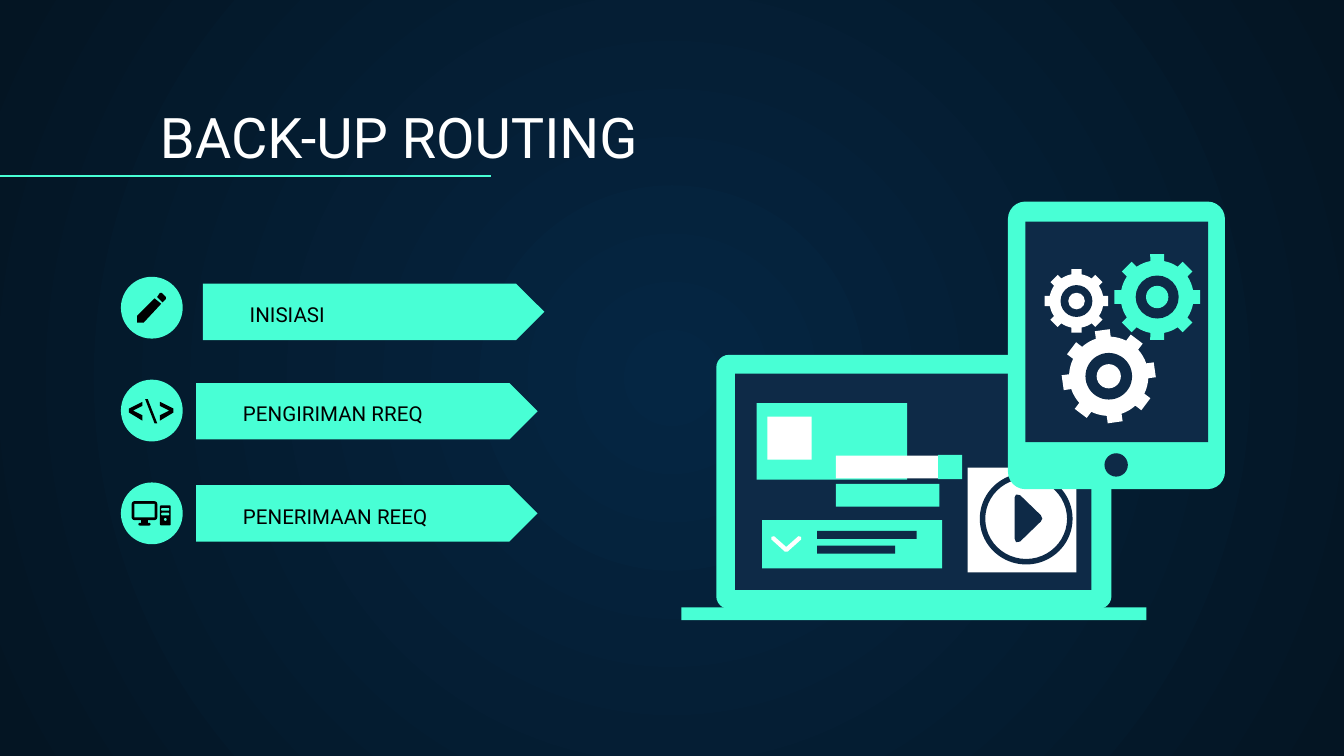
import math

import pptx
import pptx.util
import pptx.dml.color
import pptx.enum.dml
import pptx.enum.shapes
import pptx.enum.text
import pptx.oxml
import pptx.oxml.ns

KIND = pptx.enum.shapes.MSO_SHAPE
CELL = pptx.util.Inches(0.1)
TEAL, NAVY, WHITE, BLACK = "48FFD5", "0E2A47", "FFFFFF", "000000"
FONT = "Roboto"


def grid(*cells):
    return [round(cell * CELL) for cell in cells]


def tint(code):
    return pptx.dml.color.RGBColor.from_string(code)


def paint(shape, code):
    shape.shadow.inherit = False
    shape.fill.solid()
    shape.fill.fore_color.rgb = tint(code)
    shape.line.fill.background()


def block(slide, box, code, kind=KIND.RECTANGLE, bend=None):
    shape = slide.shapes.add_shape(kind, *grid(*box))
    if bend is not None:
        shape.adjustments[0] = bend
    paint(shape, code)


def disc(slide, x, y, radius, code):
    block(slide, (x - radius, y - radius, 2 * radius, 2 * radius), code, KIND.OVAL)


def poly(slide, code, *rings):
    pen = None
    for ring in rings:
        dots = [grid(*dot) for dot in ring]
        if pen is None:
            pen = slide.shapes.build_freeform(*dots[0], scale=1.0)
        else:
            pen.move_to(*dots[0])
        pen.add_line_segments(dots[1:], close=True)
    paint(pen.convert_to_shape(), code)


def write(shape, text, size, code):
    frame = shape.text_frame
    frame.text = text
    frame.word_wrap = True
    frame.auto_size = pptx.enum.text.MSO_AUTO_SIZE.NONE
    frame.vertical_anchor = pptx.enum.text.MSO_ANCHOR.BOTTOM
    inset = pptx.util.Inches(0.1)
    frame.margin_left = frame.margin_right = inset
    frame.margin_top = frame.margin_bottom = inset
    line = frame.paragraphs[0]
    line.alignment = pptx.enum.text.PP_ALIGN.LEFT
    font = line.runs[0].font
    font.name = FONT
    font.size = pptx.util.Pt(size)
    font.color.rgb = tint(code)


def shade(slide):
    fill = slide.background.fill
    fill.gradient()
    for stop, code, place in zip(fill.gradient_stops, ("052643", "041523"), (0, 1)):
        stop.color.rgb = tint(code)
        stop.position = place
    grad = slide.element.find(".//" + pptx.oxml.ns.qn("a:gradFill"))
    grad.remove(grad.find(pptx.oxml.ns.qn("a:lin")))
    grad.append(pptx.oxml.parse_xml(
        f'<a:path {pptx.oxml.ns.nsdecls("a")} path="circle">'
        '<a:fillToRect l="50000" t="50000" r="50000" b="50000"/></a:path>'))


def head(slide):
    title = slide.shapes.title
    title.left, title.top, title.width, title.height = grid(10.9, 7, 85.7, 6.6)
    write(title, "BACK-UP ROUTING", 30, WHITE)
    rule = slide.shapes.add_connector(
        pptx.enum.shapes.MSO_CONNECTOR.STRAIGHT, *grid(0, 13.1, 36.5, 13.1))
    rule.line.color.rgb = tint(TEAL)
    rule.line.width = pptx.util.Pt(0.75)
    rule.element.spPr.append(pptx.oxml.parse_xml(
        f'<a:effectLst {pptx.oxml.ns.nsdecls("a")}/>'))


def steps(slide):
    rows = (("INISIASI", 15.1, 21.1), ("PENGIRIMAN RREQ", 14.6, 28.5),
            ("PENERIMAAN REEQ", 14.6, 36.1))
    for row, (text, x, y) in enumerate(rows):
        block(slide, (x, y, 25.4, 4.2), TEAL, KIND.PENTAGON, 0.5)
        label = slide.shapes.add_textbox(*grid(x + 2.5, y + 2.1, 22.7, 2.1))
        write(label, text, 11, BLACK)
        disc(slide, 11.3, 22.9 + 7.65 * row, 2.3, TEAL)


def pencil(slide):
    poly(slide, BLACK,
         [(11.7, 22.1), (11.9, 21.8), (12.05, 21.8), (12.35, 22.1), (12.35, 22.25), (12.1, 22.5)],
         [(11.5, 22.2), (10.2, 23.5), (10.2, 24), (10.7, 24), (12, 22.6)])


def code(slide):
    left = [(10.6, 31.3), (9.6, 30.7), (9.6, 30.4), (10.6, 29.9),
            (10.6, 30.2), (9.9, 30.55), (10.6, 30.9)]
    poly(slide, BLACK, left)
    poly(slide, BLACK, [(11.5, 31.5), (10.8, 29.7), (11, 29.7), (11.7, 31.5)])
    poly(slide, BLACK, [(22.5 - x, y) for x, y in left])


def desktop(slide):
    soft = KIND.ROUNDED_RECTANGLE
    block(slide, (9.8, 37.3, 1.9, 1.4), BLACK, soft, 0.14)
    block(slide, (10, 37.5, 1.5, 1), TEAL)
    block(slide, (10.5, 38.7, 0.5, 0.3), BLACK)
    block(slide, (10.3, 38.9, 0.9, 0.2), BLACK, soft, 0.5)
    block(slide, (11.9, 37.6, 0.8, 1.5), BLACK, soft, 0.12)
    for y in (37.8, 38.15):
        block(slide, (12, y, 0.6, 0.2), TEAL, soft, 0.4)
    disc(slide, 12.3, 38.65, 0.1, TEAL)


def laptop(slide):
    block(slide, (53.3, 26.4, 29.4, 18.9), TEAL, KIND.ROUNDED_RECTANGLE, 0.05)
    for box, shade_code in (
            ((54.7, 27.8, 26.5, 16.1), NAVY), ((50.7, 45.2, 34.6, 0.95), TEAL),
            ((56.3, 30, 11.2, 5.7), TEAL), ((57.1, 31, 3.3, 3.2), WHITE),
            ((56.7, 38.7, 13.4, 3.6), TEAL), ((60.8, 39.5, 7.4, 0.6), NAVY),
            ((60.8, 40.6, 5.8, 0.6), NAVY), ((62.2, 36, 7.7, 1.7), TEAL),
            ((62.2, 33.9, 7.7, 1.7), WHITE), ((69.8, 33.85, 1.8, 1.8), TEAL),
            ((72, 34.8, 8.1, 7.8), WHITE)):
        block(slide, box, shade_code)
    poly(slide, WHITE, [(57.4, 39.95), (57.6, 39.9), (58.5, 40.7), (59.4, 39.9),
                        (59.6, 39.95), (59.6, 40.15), (58.6, 41.05), (58.4, 41.05), (57.4, 40.15)])
    block(slide, (72.9, 35.2, 6.9, 6.8), NAVY, KIND.DONUT, 0.06)
    poly(slide, NAVY, [(75.5, 37), (75.6, 36.8), (75.9, 36.85), (77.45, 38.35), (77.55, 38.6),
                       (77.45, 38.8), (75.9, 40.3), (75.6, 40.35), (75.5, 40.1)])


def gear(slide, x, y, radius, tone, turn=0):
    tooth = [(0.85, -0.19), (1.01, -0.16), (1.01, 0.16), (0.85, 0.19),
             (0.85, 0.29), (0.85, 0.39), (0.85, 0.49)]
    rim = []
    for part in range(8):
        for reach, swing in tooth:
            angle = math.radians(turn + 45 * part) + swing
            rim.append((x + radius * reach * math.sin(angle), y - radius * reach * math.cos(angle)))
    poly(slide, tone, rim)
    disc(slide, x, y, radius * 0.5, NAVY)
    disc(slide, x, y, radius * 0.26, tone)


def tablet(slide):
    block(slide, (75, 15, 16.15, 21.4), TEAL, KIND.ROUNDED_RECTANGLE, 0.08)
    block(slide, (76.3, 16.5, 13.6, 16.4), NAVY)
    disc(slide, 83.05, 34.6, 0.87, NAVY)
    gear(slide, 86.1, 22.1, 3.2, TEAL)
    gear(slide, 80.1, 22.4, 2.37, WHITE)
    gear(slide, 82.5, 28, 3.47, WHITE, -8)


def main():
    deck = pptx.Presentation()
    deck.slide_width, deck.slide_height = grid(100, 56.25)
    slide = deck.slides.add_slide(deck.slide_layouts[5])
    shade(slide)
    steps(slide)
    head(slide)
    for draw in (pencil, code, desktop, laptop, tablet):
        draw(slide)
    deck.save("out.pptx")


if __name__ == "__main__":
    main()
